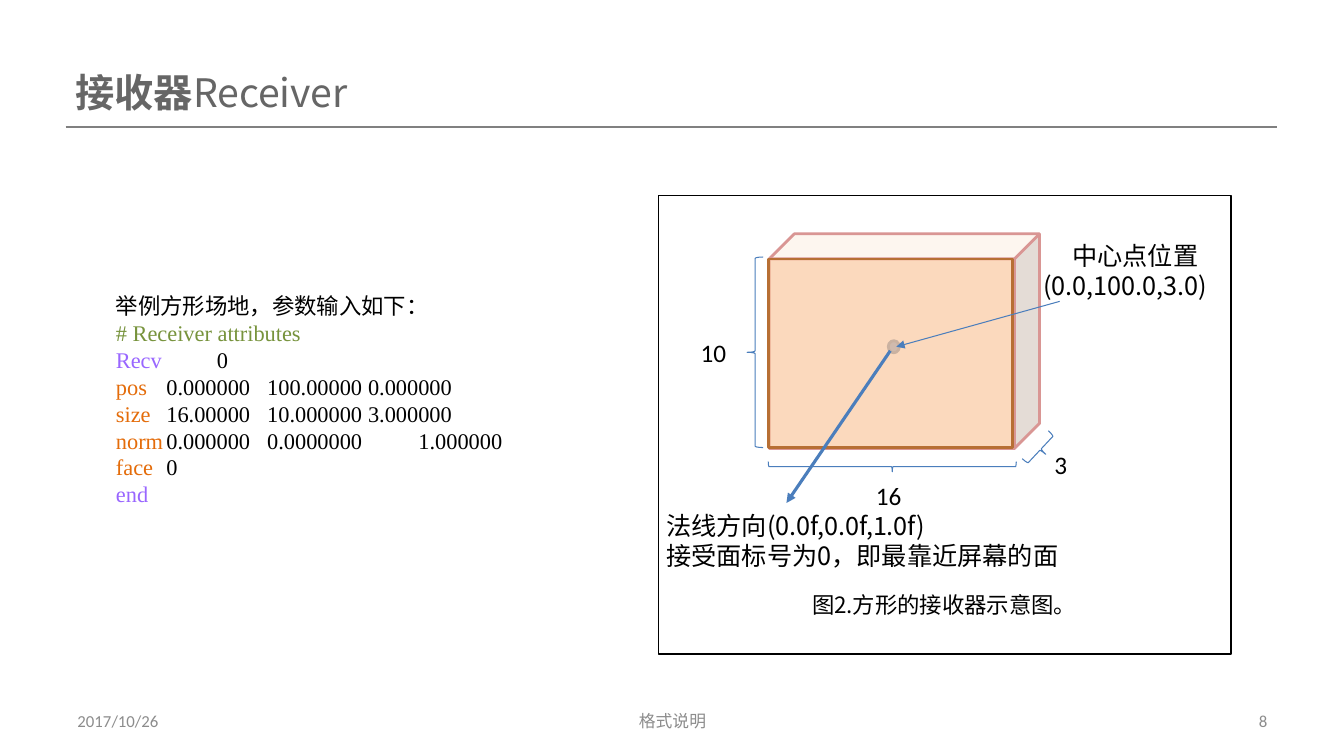
from pptx import Presentation
from pptx.dml.color import RGBColor
from pptx.enum import shapes as sh, text as tx
from pptx.oxml.ns import qn
from pptx.util import Inches, Pt
from lxml import etree

# Content: a paragraph is a list of (text, colour) runs
HUES = {"ink": "000000", "title": "666666", "foot": "8C8C8C", "rule": "808080",
        "note": "77933C", "block": "9966FF", "key": "E46C0A", "blue": "4B7EBC",
        "dot": "4F81BD", "rim": "3A5F8C", "cube": "FDEADA", "edge": "D99694",
        "face": "FAC090", "brown": "B76F34"}
NOTO, SERIF, SANS = "Noto Sans CJK SC", "Times New Roman", "Calibri"
TITLE = [[("接收器", "title"), ("Receiver", "title")]]
CODE = [
    [("举例方形场地，参数输入如下：", "ink")],
    [("# Receiver attributes", "note")],
    [("Recv ", "block"), ("\t0", "ink")],
    [("pos", "key"), ("\t0.000000 \t100.00000 \t0.000000", "ink")],
    [("size", "key"), ("\t16.00000 \t10.000000 \t3.000000", "ink")],
    [("norm", "key"), ("\t0.000000 \t0.0000000\t\t1.000000", "ink")],
    [("face", "key"), ("\t0", "ink")],
    [("end", "block")],
]
# text, left, width, alignment
FOOT = [("2017/10/26", 0.67, 3.11, "LEFT"), ("格式说明", 4.56, 4.22, "CENTER"),
        ("8", 9.56, 3.11, "RIGHT")]
# text, left, top, width
SIZES = [("10", 6.85, 3.3, 0.71), ("16", 8.59, 4.72, 0.53), ("3", 10.36, 4.41, 0.53)]
CENTRE = ["中心点位置", "(0.0,100.0,3.0)"]
NORMAL = ["法线方向(0.0f,0.0f,1.0f)", "接受面标号为0，即最靠近屏幕的面"]
CAPTION = "图2.方形的接收器示意图。"
# preset, box, turn
BRACES = [("LEFT_BRACE", (7.41, 2.55, 0.16, 1.89), 0),
          ("LEFT_BRACE", (8.8, 3.4, 0.1, 2.46), 270),
          ("RIGHT_BRACE", (10.25, 4.27, 0.14, 0.38), 43.1)]

deck = Presentation()
deck.slide_width, deck.slide_height = Inches(13.33), Inches(7.5)
slide = deck.slides.add_slide(deck.slide_layouts[1])
parts = slide.shapes


def hue(name):
    return RGBColor.from_string(HUES[name])


def place(shape, box):
    shape.left, shape.top, shape.width, shape.height = map(Inches, box)


def write(shape, paras, size, font, align="LEFT", anchor="TOP"):
    frame = shape.text_frame
    frame.word_wrap = True
    frame.auto_size = tx.MSO_AUTO_SIZE.NONE
    frame.vertical_anchor = tx.MSO_ANCHOR[anchor]
    frame.text = "\n".join("" for _ in paras)
    for para, runs in zip(frame.paragraphs, paras):
        para.alignment = tx.PP_ALIGN[align]
        para.space_before = Pt(0)
        para.line_spacing = Pt(1.2 * size)
        for words, tint in runs:
            run = para.add_run()
            run.text = words
            run.font.size, run.font.name = Pt(size), font
            run.font.color.rgb = hue(tint)
            east = etree.SubElement(run.font._element, qn("a:ea"))
            east.set("typeface", NOTO)


def label(box, lines, size=18, font=NOTO, tint="ink", **kw):
    write(parts.add_textbox(*map(Inches, box)),
          [[(line, tint)] for line in lines], size, font, **kw)


def draw(kind, box, line, width, fill=None, alpha=None):
    shape = parts.add_shape(sh.MSO_SHAPE[kind], *map(Inches, box))
    shape.shadow.inherit = False
    shape.line.color.rgb, shape.line.width = hue(line), Pt(width)
    if fill:
        shape.fill.solid()
        shape.fill.fore_color.rgb = hue(fill)
    else:
        shape.fill.background()
    if alpha:
        tone = shape._element.spPr.find(".//" + qn("a:srgbClr"))
        etree.SubElement(tone, qn("a:alpha")).set("val", str(alpha * 1000))
    return shape


def rule(start, end, tint, width, arrow=False):
    line = parts.add_connector(sh.MSO_CONNECTOR.STRAIGHT,
                               *map(Inches, start + end))
    line.line.color.rgb, line.line.width = hue(tint), Pt(width)
    etree.SubElement(line._element.spPr, qn("a:effectLst"))
    if arrow:
        tip = etree.SubElement(line.line._get_or_add_ln(), qn("a:tailEnd"))
        tip.set("type", "triangle")


# Title, rule and footer
title, body = slide.placeholders
place(title, (0.65, 0.63, 4.02, 0.63))
write(title, TITLE, 28, NOTO)
for run, bold in zip(title.text_frame.paragraphs[0].runs, (True, False)):
    run.font.bold = bold
rule((0.65, 1.26), (12.67, 1.26), "rule", 1.5)
for words, left, width, align in FOOT:
    label((left, 6.95, width, 0.4), [words], 12, SANS, "foot",
          align=align, anchor="MIDDLE")

# Parameter listing
place(body, (1.05, 2.85, 5.17, 2.32))
write(body, CODE, 16, SERIF)
for para in body.text_frame.paragraphs:
    props = para._p.get_or_add_pPr()
    props.set("marL", "0")
    props.set("indent", "0")
    etree.SubElement(props, qn("a:buNone"))

# Receiver box with its measures
label((10.25, 2.33, 2.02, 0.71), CENTRE)
parts[-1].text_frame.paragraphs[0].alignment = tx.PP_ALIGN.CENTER
draw("OVAL", (8.81, 3.38, 0.11, 0.12), "rim", 2, "dot")
cube = draw("CUBE", (7.63, 2.32, 2.68, 2.13), "edge", 2, "cube", 50)
cube.adjustments[0] = 0.117
for kind, box, turn in BRACES:
    draw(kind, box, "blue", 0.75).rotation = turn
for words, left, top, width in SIZES:
    label((left, top, width, 0.4), [words], font=SANS)
label((6.51, 5.01, 4.84, 0.71), NORMAL)
draw("RECTANGLE", (7.62, 2.57, 2.42, 1.87), "brown", 2, "face", 50)

# Arrows, caption and frame
rule((8.83, 3.48), (7.8, 4.99), "blue", 2.25, True)
rule((10.51, 2.99), (8.89, 3.44), "blue", 0.75, True)
label((7.16, 5.77, 4.41, 0.45), [CAPTION], 16, align="CENTER", anchor="MIDDLE")
draw("RECTANGLE", (6.53, 1.94, 5.68, 4.55), "ink", 1)

deck.save("out.pptx")
